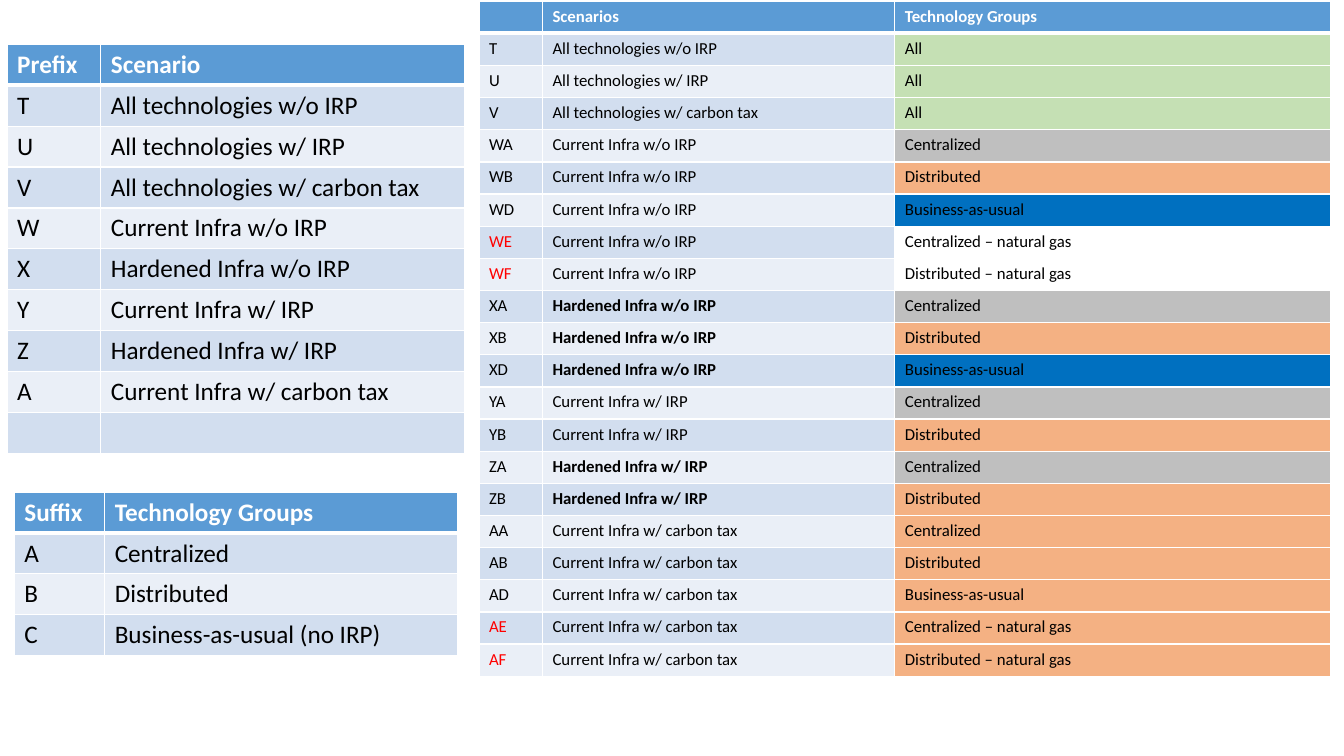
from lxml import etree
from pptx import Presentation
from pptx.dml.color import RGBColor
from pptx.oxml.ns import qn
from pptx.util import Cm, Pt

WHITE = RGBColor(0xFF, 0xFF, 0xFF)
BLACK = RGBColor(0x00, 0x00, 0x00)
RED = RGBColor(0xFF, 0x00, 0x00)
HEADER_BLUE = RGBColor(0x5B, 0x9B, 0xD5)
BANDS = (RGBColor(0xD2, 0xDE, 0xEF), RGBColor(0xEA, 0xEF, 0xF7))
GREEN = RGBColor(0xC5, 0xE0, 0xB4)
GRAY = RGBColor(0xBF, 0xBF, 0xBF)
ORANGE = RGBColor(0xF4, 0xB1, 0x83)
BLUE = RGBColor(0x00, 0x70, 0xC0)

FONT = "Calibri"
THIN, THICK = Pt(1), Pt(3)

SCENARIOS = {
    "T": "All technologies w/o IRP",
    "U": "All technologies w/ IRP",
    "V": "All technologies w/ carbon tax",
    "W": "Current Infra w/o IRP",
    "X": "Hardened Infra w/o IRP",
    "Y": "Current Infra w/ IRP",
    "Z": "Hardened Infra w/ IRP",
    "A": "Current Infra w/ carbon tax",
}
GROUPS = {
    "": ("All", GREEN),
    "A": ("Centralized", GRAY),
    "B": ("Distributed", ORANGE),
    "D": ("Business-as-usual", BLUE),
    "E": ("Centralized – natural gas", WHITE),
    "F": ("Distributed – natural gas", WHITE),
}
SUFFIX_ROWS = [
    ("Suffix", "Technology Groups"),
    ("A", "Centralized"),
    ("B", "Distributed"),
    ("C", "Business-as-usual (no IRP)"),
]
CODES = "T U V WA WB WD WE WF XA XB XD YA YB ZA ZB AA AB AD AE AF".split()


def set_borders(cell, top, bottom):
    properties = cell._tc.get_or_add_tcPr()
    widths = {"a:lnL": THIN, "a:lnR": THIN, "a:lnT": top, "a:lnB": bottom}
    for tag, width in widths.items():
        line = etree.SubElement(properties, qn(tag), w=str(width))
        fill = etree.SubElement(line, qn("a:solidFill"))
        etree.SubElement(fill, qn("a:srgbClr"), val=str(WHITE))


def style_cell(cell, text, size, color, fill, bold=False):
    cell.fill.solid()
    cell.fill.fore_color.rgb = fill
    cell.text = text
    font = cell.text_frame.paragraphs[0].font
    font.name = FONT
    font.size = Pt(size)
    font.bold = bold
    font.color.rgb = color


def add_banded_table(page, left, top, widths, row_height, size, rows):
    frame = page.shapes.add_table(
        len(rows), len(widths), Cm(left), Cm(top),
        Cm(sum(widths)), Cm(row_height * len(rows)))
    table = frame.table
    for column, width in zip(table.columns, widths):
        column.width = Cm(width)
    for index, texts in enumerate(rows):
        table.rows[index].height = Cm(row_height)
        header = index == 0
        color = WHITE if header else BLACK
        fill = HEADER_BLUE if header else BANDS[(index - 1) % 2]
        for cell, text in zip(table.rows[index].cells, texts):
            set_borders(cell, THICK if index == 1 else THIN,
                        THICK if header else THIN)
            style_cell(cell, text, size, color, fill, header)
    return table


def add_scenario_table(page):
    rows = [("", "Scenarios", "Technology Groups")]
    rows += [(code, SCENARIOS[code[0]], GROUPS[code[1:]][0]) for code in CODES]
    table = add_banded_table(page, 12.07, 0.03, (1.6, 8.88, 10.97), 0.81, 12, rows)
    for index, code in enumerate(CODES, start=1):
        prefix, suffix = code[0], code[1:]
        code_cell, scenario_cell, group_cell = table.rows[index].cells
        if suffix in ("E", "F"):
            code_cell.text_frame.paragraphs[0].font.color.rgb = RED
        if prefix in ("X", "Z"):
            scenario_cell.text_frame.paragraphs[0].font.bold = True
        group_cell.fill.fore_color.rgb = ORANGE if prefix == "A" else GROUPS[suffix][1]


def main():
    deck = Presentation()
    deck.slide_width = Cm(33.87)
    deck.slide_height = Cm(19.05)
    page = deck.slides.add_slide(deck.slide_layouts[6])
    prefix_rows = [("Prefix", "Scenario"), *SCENARIOS.items(), ("", "")]
    add_banded_table(page, 0.36, 12.4, (2.28, 8.9), 1.03, 18, SUFFIX_ROWS)
    add_banded_table(page, 0.18, 1.12, (2.36, 9.17), 1.03, 18, prefix_rows)
    add_scenario_table(page)
    deck.save("out.pptx")


main()
